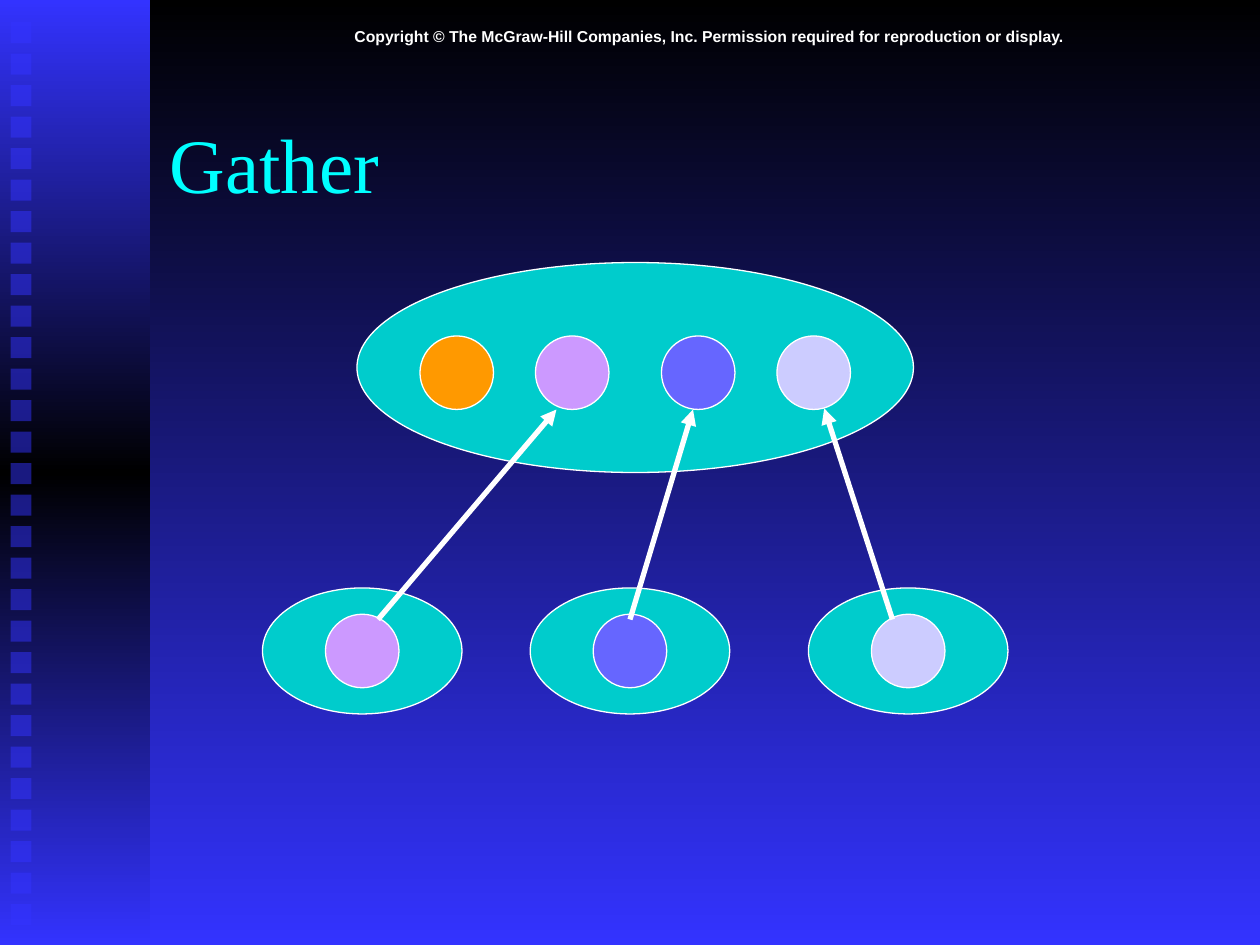
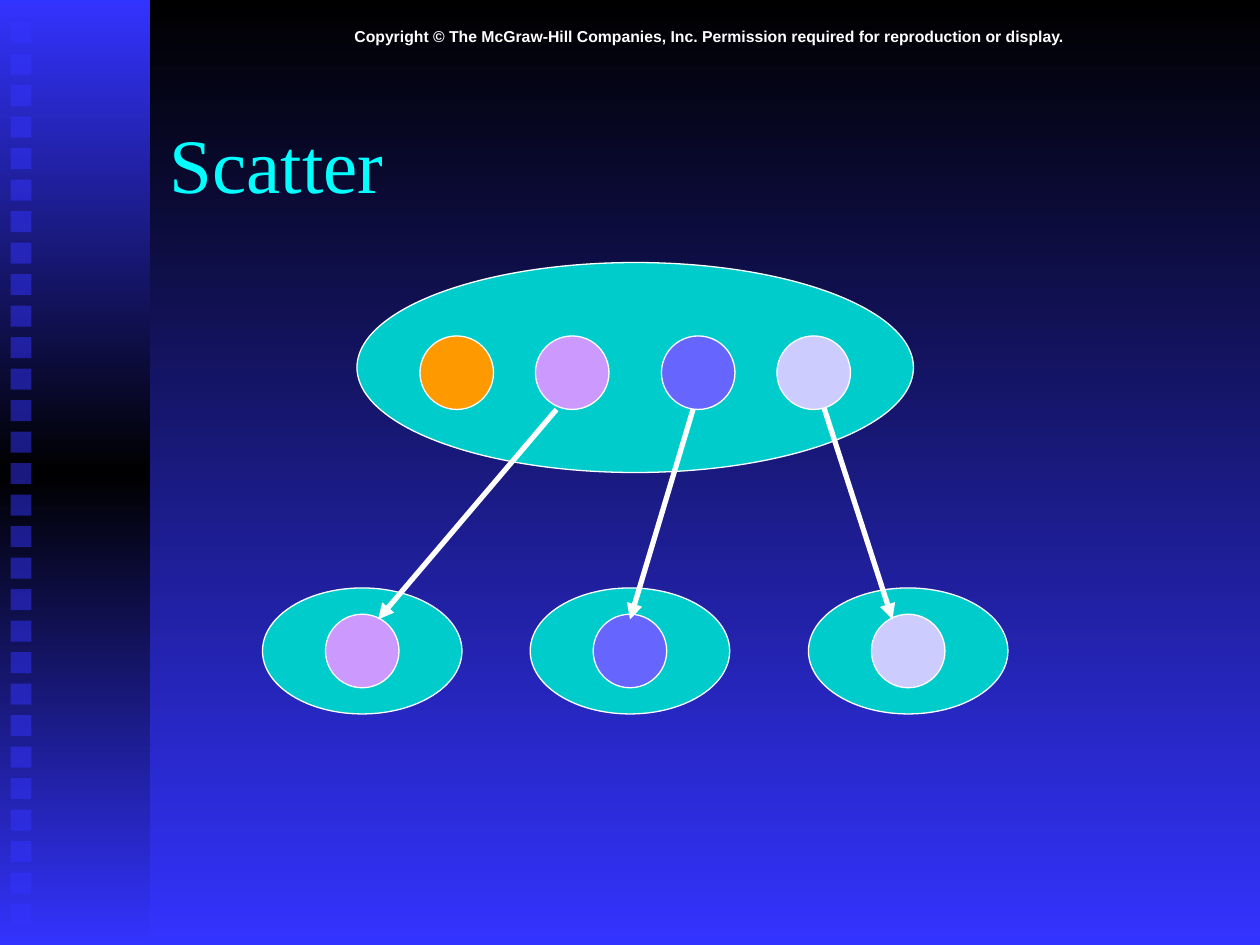
from copy import deepcopy

from lxml.etree import SubElement
from pptx import Presentation
from pptx.dml.color import RGBColor
from pptx.enum.shapes import MSO_CONNECTOR, MSO_SHAPE
from pptx.enum.text import MSO_ANCHOR, MSO_AUTO_SIZE, PP_ALIGN
from pptx.oxml.ns import qn
from pptx.util import Inches, Pt

COLUMNS, ROWS = 120, 90
CELL = Inches(10) / COLUMNS

BLACK, WHITE, BLUE = "000000", "FFFFFF", "3333FF"
CYAN, TEAL, ORANGE = "00FFFF", "00CCCC", "FF9900"
VIOLET, INDIGO, LAVENDER = "CC99FF", "6666FF", "CCCCFF"

BAND_WIDTH = 14.28
SQUARE_COUNT, SQUARE_PITCH = 29, 3
COPYRIGHT = ("Copyright © The McGraw-Hill Companies, Inc. "
             "Permission required for reproduction or display.")

ITEM_SIZE, ITEM_ROW = 7, 32
ROOT = (34, 25, 53, 20)
ROOT_ITEMS = [(40, ORANGE), (51, VIOLET), (63, INDIGO), (74, LAVENDER)]
NODE_WIDTH, NODE_HEIGHT, NODE_ROW = 19, 12, 56
NODES = [(25, VIOLET), (50.5, INDIGO), (77, LAVENDER)]
ARROWS = [((36, 59), (53, 39)), ((60, 59), (66, 39)), ((85, 59), (78.5, 38.9))]


def cells(*counts):
    return [round(count * CELL) for count in counts]


def color(hex_string):
    return RGBColor.from_string(hex_string)


def paint_gradient(fill, element, hex_strings):
    fill.gradient()
    fill.gradient_angle = 270
    stop_list = next(element.iter(qn("a:gsLst")))
    for _ in hex_strings[2:]:
        stop_list.append(deepcopy(stop_list[0]))
    last = len(hex_strings) - 1
    for index, (stop, hex_string) in enumerate(zip(fill.gradient_stops, hex_strings)):
        stop.position = index / last
        stop.color.rgb = color(hex_string)


def add_plain_shape(page, preset, place, fill_color=None):
    shape = page.shapes.add_shape(preset, *cells(*place))
    shape.shadow.inherit = False
    shape.line.fill.background()
    if fill_color:
        shape.fill.solid()
        shape.fill.fore_color.rgb = color(fill_color)
    return shape


def add_ellipse(page, place, fill_color):
    ellipse = add_plain_shape(page, MSO_SHAPE.OVAL, place, fill_color)
    ellipse.line.color.rgb = color(WHITE)
    ellipse.line.width = Pt(0.75)


def add_item(page, left, top, fill_color):
    add_ellipse(page, (left, top, ITEM_SIZE, ITEM_SIZE), fill_color)


def add_text(page, place, text, font_name, size, text_color, bold=False):
    box = page.shapes.add_textbox(*cells(*place))
    frame = box.text_frame
    frame.word_wrap = True
    frame.text = text
    font = frame.paragraphs[0].runs[0].font
    font.name, font.size, font.bold = font_name, Pt(size), bold
    font.color.rgb = color(text_color)
    return frame


def add_arrow(page, start, end, arrowhead):
    arrow = page.shapes.add_connector(MSO_CONNECTOR.STRAIGHT, *cells(*start, *end))
    arrow.line.color.rgb = color(WHITE)
    arrow.line.width = Pt(3)
    properties = arrow.element.spPr
    SubElement(properties.find(qn("a:ln")), qn(arrowhead), type="triangle")
    SubElement(properties, qn("a:effectLst"))


def add_side_band(page):
    band = add_plain_shape(page, MSO_SHAPE.RECTANGLE, (0, 0, BAND_WIDTH, ROWS))
    paint_gradient(band.fill, band.element, [BLUE, BLACK, BLUE])
    for index in range(SQUARE_COUNT):
        place = (1, 2.1 + index * SQUARE_PITCH, 2, 2)
        square = add_plain_shape(page, MSO_SHAPE.RECTANGLE, place, BLUE)
        fill_element = next(square.element.spPr.iter(qn("a:srgbClr")))
        SubElement(fill_element, qn("a:alpha"), val="50000")


def add_page(deck, title):
    page = deck.slides.add_slide(deck.slide_layouts[6])
    paint_gradient(page.background.fill, page.element, [BLACK, BLUE])
    add_side_band(page)
    notice = add_text(page, (15, 2, 105, 3), COPYRIGHT, "Arial", 9, WHITE, bold=True)
    notice.auto_size = MSO_AUTO_SIZE.SHAPE_TO_FIT_TEXT
    notice.paragraphs[0].alignment = PP_ALIGN.CENTER
    heading = add_text(page, (15, 8, 102, 15), title, "Times New Roman", 44, CYAN)
    heading.vertical_anchor = MSO_ANCHOR.MIDDLE
    return page


def add_exchange(page, arrowhead):
    add_ellipse(page, ROOT, TEAL)
    for left, fill_color in ROOT_ITEMS:
        add_item(page, left, ITEM_ROW, fill_color)
    for left, fill_color in NODES:
        add_ellipse(page, (left, NODE_ROW, NODE_WIDTH, NODE_HEIGHT), TEAL)
        add_item(page, left + (NODE_WIDTH - ITEM_SIZE) / 2,
                 NODE_ROW + (NODE_HEIGHT - ITEM_SIZE) / 2, fill_color)
    for start, end in ARROWS:
        add_arrow(page, start, end, arrowhead)


def main():
    deck = Presentation()
    deck.slide_width, deck.slide_height = cells(COLUMNS, ROWS)
    for title, arrowhead in [("Gather", "a:tailEnd"), ("Scatter", "a:headEnd")]:
        add_exchange(add_page(deck, title), arrowhead)
    deck.save("out.pptx")


if __name__ == "__main__":
    main()
